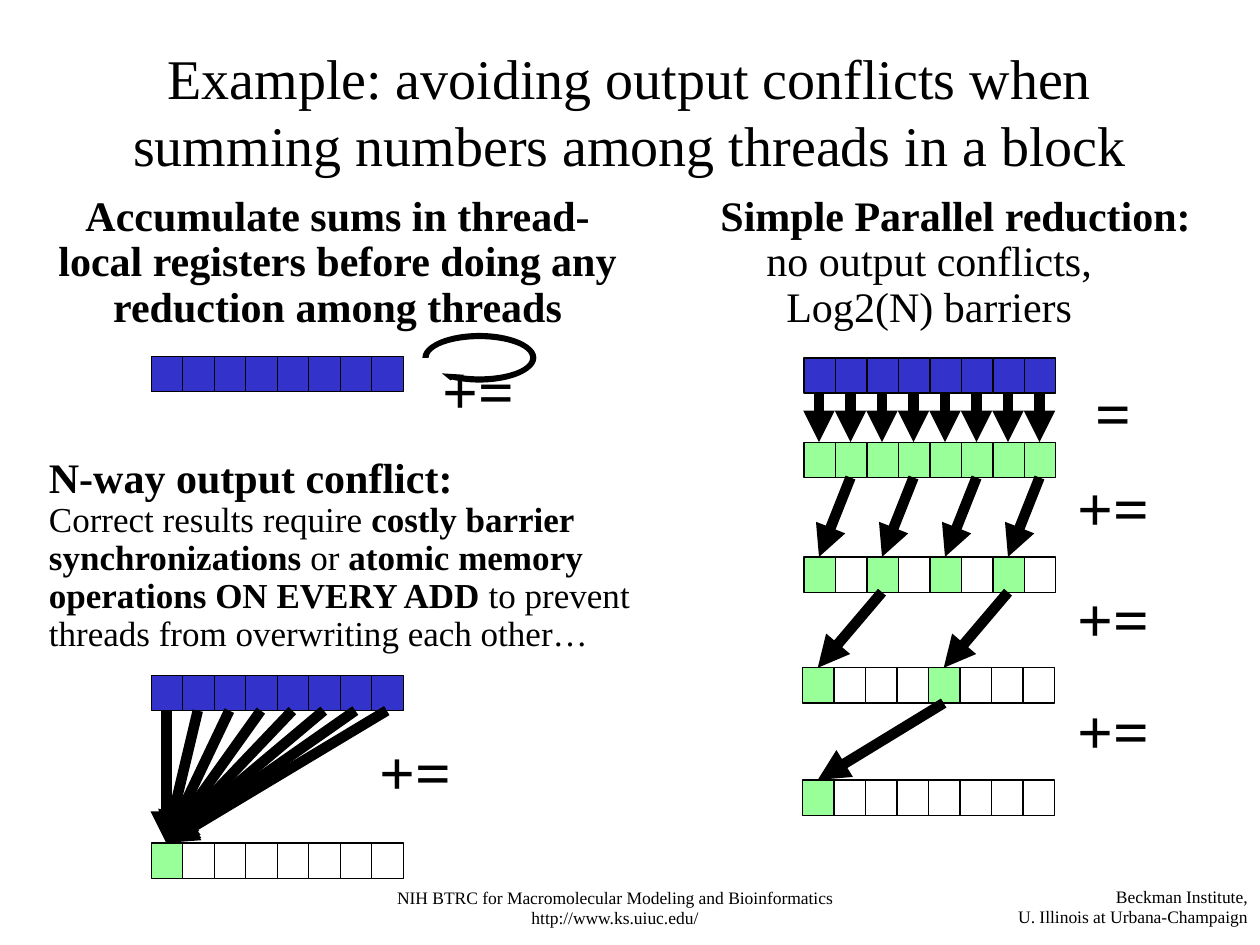
from lxml import etree
from pptx import Presentation
from pptx.dml.color import RGBColor
from pptx.enum.shapes import MSO_CONNECTOR, MSO_SHAPE
from pptx.enum.text import MSO_ANCHOR, MSO_AUTO_SIZE, PP_ALIGN
from pptx.oxml.ns import qn
from pptx.util import Inches, Pt

LEFT, MID, RIGHT = PP_ALIGN.LEFT, PP_ALIGN.CENTER, PP_ALIGN.RIGHT
TOP, CENTER = MSO_ANCHOR.TOP, MSO_ANCHOR.MIDDLE
GROW = MSO_AUTO_SIZE.SHAPE_TO_FIT_TEXT
RECT, LOOP = MSO_SHAPE.RECTANGLE, MSO_SHAPE.CIRCULAR_ARROW
LINE = MSO_CONNECTOR.STRAIGHT

COLORS = {"ink": "000000", "blue": "3333CC", "green": "99FF99", "white": "FFFFFF"}
FONT = "Times New Roman"
COUNT, CELL, HIGH, HALF = 8, 0.25, 0.28, 0.12


def color(name):
    return RGBColor.from_string(COLORS[name])


class Board:
    def __init__(self, slide):
        self.slide = slide

    def text(self, box, paras, size, align=MID, space=0.9, before=8, anchor=TOP):
        shape = self.slide.shapes.add_textbox(*map(Inches, box))
        frame = shape.text_frame
        frame.word_wrap = True
        frame.vertical_anchor = anchor
        if anchor == TOP:
            frame.auto_size = GROW
        for i, runs in enumerate(paras):
            para = frame.add_paragraph() if i else frame.paragraphs[0]
            para.alignment = align
            para.line_spacing = space
            para.space_before = Pt(0 if i else before)
            for words, bold, *own in runs:
                run = para.add_run()
                run.text = words
                run.font.name = FONT
                run.font.size = Pt(own[0] if own else size)
                run.font.bold = bold
                run.font.color.rgb = color("ink")
        return frame

    def sign(self, left, top, words="+="):
        self.text((left, top, 0.78, 0.65), [[(words, True)]], 36)

    def shape(self, kind, box, fill):
        shape = self.slide.shapes.add_shape(kind, *map(Inches, box))
        shape.shadow.inherit = False
        shape.fill.solid()
        shape.fill.fore_color.rgb = color(fill)
        return shape

    def row(self, left, top, fill, marked=range(COUNT)):
        for i in range(COUNT):
            box = (left + i * CELL, top, CELL, HIGH)
            cell = self.shape(RECT, box, fill if i in marked else "white")
            cell.line.color.rgb = color("ink")
            cell.line.width = Pt(0.75)

    def arrow(self, start, end):
        line = self.slide.shapes.add_connector(LINE, *map(Inches, start + end))
        line.line.color.rgb = color("ink")
        line.line.width = Pt(6)
        etree.SubElement(line.line._get_or_add_ln(), qn("a:tailEnd"), type="triangle")
        etree.SubElement(line._element.spPr, qn("a:effectLst"))

    def flow(self, upper, lower, pairs):
        for start, end in pairs:
            self.arrow((upper[0] + HALF + start * CELL, upper[1] + HIGH),
                       (lower[0] + HALF + end * CELL, lower[1]))

    def loop(self, box, values):
        shape = self.shape(LOOP, box, "ink")
        shape.line.fill.background()
        for i, value in enumerate(values):
            shape.adjustments[i] = value


def main():
    deck = Presentation()
    deck.slide_width, deck.slide_height = Inches(10), Inches(7.5)
    board = Board(deck.slides.add_slide(deck.slide_layouts[6]))

    board.text((2.42, 7, 4.92, 0.43), [
        [("NIH BTRC for Macromolecular Modeling and Bioinformatics", False)],
        [("http://www.ks.uiuc.edu/", False)],
    ], 10, space=0.96, before=0)
    board.text((7.92, 7, 2.08, 0.42), [
        [("Beckman Institute,", False)],
        [("U. Illinois at Urbana-Champaign", False)],
    ], 10, align=RIGHT, space=0.93, before=0)
    board.text((0.75, 0.25, 8.5, 1.25), [[
        ("Example: avoiding output conflicts when summing numbers "
         "among threads in a block", False),
    ]], 32, space=1, before=0, anchor=CENTER)

    source, total = (1.2, 5.36), (1.2, 6.69)
    board.row(*source, "blue")
    board.row(*total, "green", [0])
    board.flow(source, total, [(i, 0) for i in range(COUNT)])
    board.sign(2.91, 5.83)
    board.text((0.29, 3.58, 5.24, 1.68), [
        [("N-way output conflict:", True, 24)],
        [("Correct results require ", False),
         ("costly barrier synchronizations", True),
         (" or ", False),
         ("atomic memory operations ON EVERY ADD ", True),
         ("to prevent threads from overwriting each other…", False)],
    ], 20, align=LEFT)

    frame = board.text((5.42, 1.5, 4.33, 1.19), [
        [("Simple Parallel reduction:", True)],
        [("no output conflicts,", False)],
        [("Log2(N) barriers", False)],
    ], 24)
    shift = frame.paragraphs[1]._p.get_or_add_pPr()
    shift.set("marR", str(Inches(0.42)))

    first = (6.38, 2.84)
    board.row(*first, "blue")
    steps = [((6.38, 3.51), 1, (8.45, 2.98), "="),
             ((6.38, 4.42), 2, (8.45, 3.74), "+="),
             ((6.37, 5.3), 4, (8.45, 4.62), "+="),
             ((6.37, 6.19), 8, (8.45, 5.51), "+=")]
    upper = first
    for lower, step, place, words in steps:
        ends = range(0, COUNT, step)
        board.row(*lower, "green", ends)
        board.flow(upper, lower, [(end + step // 2 if step > 1 else end, end)
                                  for end in ends])
        board.sign(*place, words)
        upper = lower

    board.row(1.2, 2.83, "blue")
    board.sign(3.41, 2.81)
    board.loop((3.32, 2.61, 0.97, 0.46), (0.107, 11.423, 83.036, 108, 0.125))
    board.text((0.33, 1.5, 4.7, 1.19), [[
        ("Accumulate sums in thread-local registers before doing any "
         "reduction among threads", True),
    ]], 24)
    deck.save("out.pptx")


if __name__ == "__main__":
    main()
